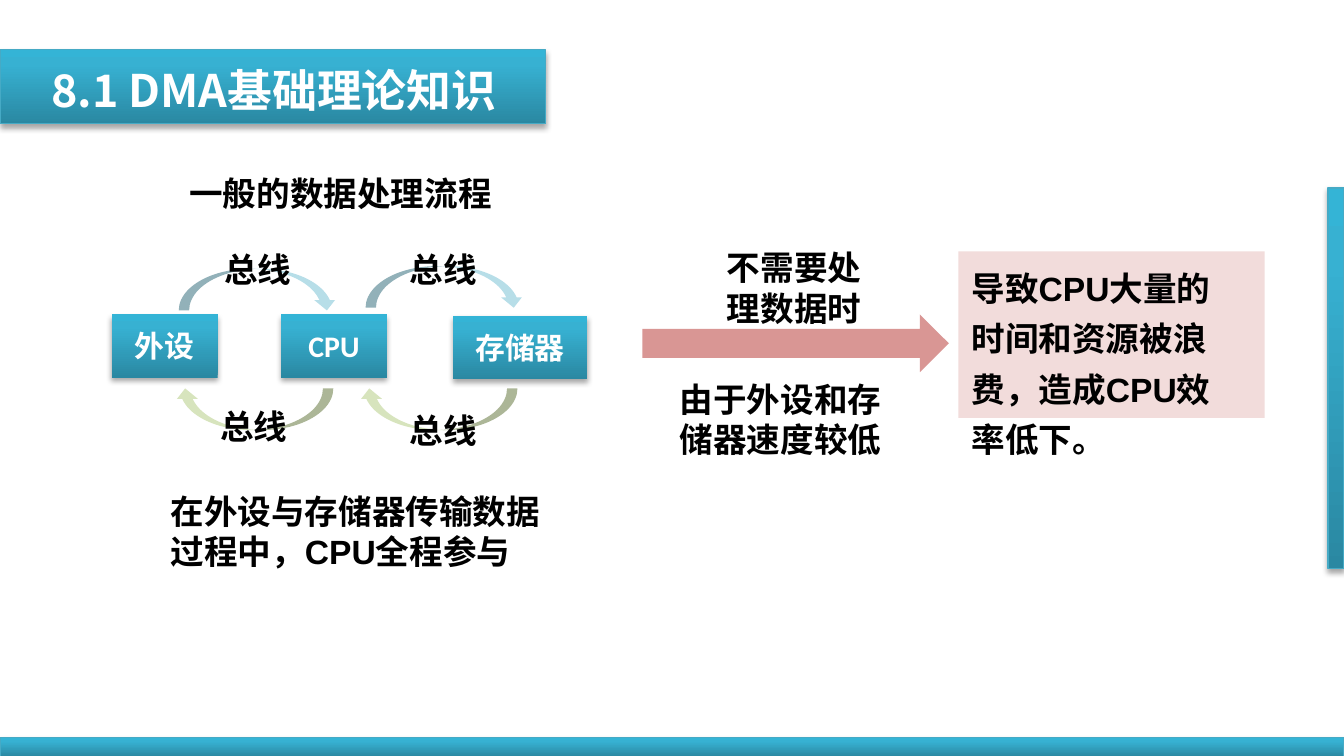
from copy import deepcopy
from typing import NamedTuple

from lxml import etree
from pptx import Presentation
from pptx.dml.color import RGBColor
from pptx.enum.shapes import MSO_SHAPE
from pptx.enum.text import MSO_ANCHOR, MSO_AUTO_SIZE, PP_ALIGN
from pptx.oxml.ns import qn
from pptx.util import Inches, Pt

RECT, RIGHT_ARROW = MSO_SHAPE.RECTANGLE, MSO_SHAPE.RIGHT_ARROW
CURVED_ARROW = MSO_SHAPE.CURVED_DOWN_ARROW
TOP, MIDDLE = MSO_ANCHOR.TOP, MSO_ANCHOR.MIDDLE
LEFT, CENTER = PP_ALIGN.LEFT, PP_ALIGN.CENTER
FIXED, GROW = MSO_AUTO_SIZE.NONE, MSO_AUTO_SIZE.SHAPE_TO_FIT_TEXT

WHITE = RGBColor(0xFF, 0xFF, 0xFF)
BLACK = RGBColor(0x00, 0x00, 0x00)
TEAL_DARK = RGBColor(0x2A, 0x88, 0xA2)
TEAL_MID = RGBColor(0x37, 0xB1, 0xD2)
TEAL_LIGHT = RGBColor(0x34, 0xB4, 0xD6)
TEAL_LINE = RGBColor(0x46, 0xAA, 0xC5)
PALE_BLUE = RGBColor(0xB7, 0xDE, 0xE8)
PALE_GREEN = RGBColor(0xD7, 0xE4, 0xBD)
PALE_PINK = RGBColor(0xF2, 0xDC, 0xDB)
ROSE = RGBColor(0xD9, 0x96, 0x94)
CJK_FONT = "Noto Sans CJK SC"


class Box(NamedTuple):
    left: float
    top: float
    width: float
    height: float


class Label(NamedTuple):
    text: str
    box: Box
    wrap: bool = True


def write(shape, text: str, *, font: str = "Arial", size: float = 18,
          color: RGBColor = BLACK, align=LEFT, anchor=TOP, wrap: bool = True,
          auto_size=FIXED, line_spacing: float = 1.0, right_inset: float = 0.1) -> None:
    frame = shape.text_frame
    frame.word_wrap, frame.auto_size = wrap, auto_size
    frame.vertical_anchor = anchor
    frame.margin_right = Inches(right_inset)
    paragraph = frame.paragraphs[0]
    paragraph.alignment, paragraph.line_spacing = align, line_spacing
    run = paragraph.add_run()
    run.text = text
    run.font.name, run.font.size, run.font.bold = font, Pt(size), True
    run.font.color.rgb = color
    east_asian = etree.SubElement(run.font._element, qn("a:ea"))
    east_asian.set("typeface", CJK_FONT)


def add_flat(slide, kind, box: Box, color: RGBColor, rotation: float = 0):
    shape = slide.shapes.add_shape(kind, *map(Inches, box))
    shape.shadow.inherit = False
    shape.fill.solid()
    shape.fill.fore_color.rgb = color
    shape.line.fill.background()
    shape.rotation = rotation
    return shape


def add_glossy(slide, box: Box, outlined: bool = True):
    """Rectangle with the teal gradient and a soft shadow below."""
    shape = add_flat(slide, RECT, box, TEAL_MID)
    if outlined:
        shape.line.color.rgb = TEAL_LINE
        shape.line.width = Pt(0.75)
    shape.fill.gradient()
    shape.fill.gradient_angle = 90
    properties = shape.element.spPr
    stop_list = properties.find(".//" + qn("a:gsLst"))
    stop_list.insert(1, deepcopy(stop_list[0]))
    colors = (TEAL_DARK, TEAL_MID, TEAL_LIGHT)
    for stop, position, color in zip(shape.fill.gradient_stops, (0, 0.8, 1), colors):
        stop.position, stop.color.rgb = position, color

    shadow = etree.SubElement(
        properties.find(qn("a:effectLst")), qn("a:outerShdw"),
        blurRad=str(Pt(3.1)), dist=str(Pt(1.8)), dir="5400000", rotWithShape="0")
    shade = etree.SubElement(shadow, qn("a:srgbClr"), val=str(BLACK))
    etree.SubElement(shade, qn("a:alpha"), val="35000")
    return shape


def add_label(slide, label: Label) -> None:
    text_box = slide.shapes.add_textbox(*map(Inches, label.box))
    write(text_box, label.text, wrap=label.wrap, auto_size=GROW)


NODES = (
    Label("外设", Box(0.83, 2.34, 0.79, 0.47)),
    Label("CPU", Box(2.09, 2.34, 0.79, 0.47)),
    Label("存储器", Box(3.37, 2.35, 1, 0.47)),
)
FORWARD_ARROWS = ((1.33, 2), (2.72, 1.98))
RETURN_ARROWS = ((2.67, 2.89), (1.3, 2.89))
BUS_POSITIONS = ((1.57, 1.8), (2.95, 1.8), (2.95, 3), (1.54, 2.97))
CAPTIONS = (
    Label("一般的数据处理流程", Box(1.31, 1.24, 2.49, 0.4), wrap=False),
    Label("在外设与存储器传输数据过程中，CPU全程参与", Box(1.17, 3.6, 3.12, 0.71)),
    Label("由于外设和存储器速度较低", Box(4.96, 2.77, 1.73, 0.71)),
    Label("不需要处理数据时", Box(5.31, 1.79, 1.22, 0.71)),
)


def main() -> None:
    deck = Presentation()
    deck.slide_width = Inches(10)
    deck.slide_height = deck.slide_width * 9 // 16
    slide = deck.slides.add_slide(deck.slide_layouts[5])

    # Bottom and side bars, then the title on its banner
    add_glossy(slide, Box(0, 5.49, 10, 0.14))
    add_glossy(slide, Box(9.88, 1.4, 0.12, 2.83))
    banner = add_glossy(slide, Box(0, 0.37, 4.06, 0.55))
    title = slide.shapes.title
    title.left, title.top, title.width, title.height = map(Inches, (0.28, 0.42, 3.7, 0.5))
    write(title, "8.1 DMA基础理论知识", font=CJK_FONT, size=24, color=WHITE,
          wrap=False, auto_size=GROW)
    banner.element.addnext(title.element)

    # Data flow between the three parts
    for node in NODES:
        write(add_glossy(slide, node.box, outlined=False), node.text, font="Calibri",
              size=16, color=WHITE, align=CENTER, anchor=MIDDLE)
    for positions, color, rotation in ((FORWARD_ARROWS, PALE_BLUE, 0),
                                       (RETURN_ARROWS, PALE_GREEN, 180)):
        for left, top in positions:
            add_flat(slide, CURVED_ARROW, Box(left, top, 1.18, 0.31), color, rotation)

    # Consequence for the CPU
    result = add_flat(slide, RECT, Box(7.13, 1.87, 2.28, 1.24), PALE_PINK)
    write(result, "导致CPU大量的时间和资源被浪费，造成CPU效率低下。",
          line_spacing=1.25, right_inset=0.2)
    add_flat(slide, RIGHT_ARROW, Box(4.78, 2.34, 2.28, 0.43), ROSE)

    # Captions and bus labels
    for caption in CAPTIONS:
        add_label(slide, caption)
    for left, top in BUS_POSITIONS:
        add_label(slide, Label("总线", Box(left, top, 0.71, 0.4)))

    deck.save("out.pptx")


if __name__ == "__main__":
    main()
